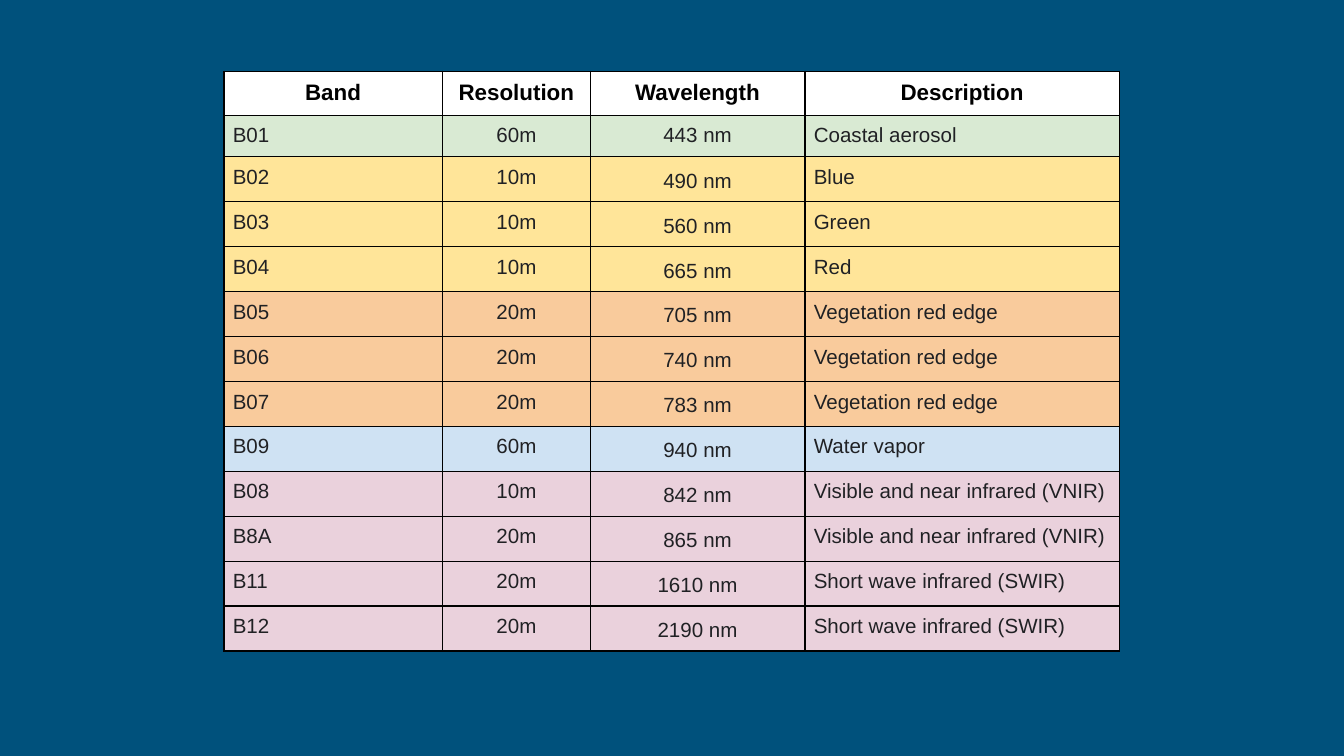
from lxml.etree import SubElement
from pptx import Presentation
from pptx.dml.color import RGBColor
from pptx.enum.text import MSO_ANCHOR, PP_ALIGN
from pptx.oxml.ns import qn
from pptx.util import Cm, Pt

NAVY = RGBColor(0x00, 0x51, 0x7C)
BLACK = RGBColor(0x00, 0x00, 0x00)
CHARCOAL = RGBColor(0x20, 0x21, 0x24)
WHITE = RGBColor(0xFF, 0xFF, 0xFF)
GREEN = RGBColor(0xD9, 0xEA, 0xD3)
YELLOW = RGBColor(0xFF, 0xE5, 0x99)
ORANGE = RGBColor(0xF9, 0xCB, 0x9C)
BLUE = RGBColor(0xCF, 0xE2, 0xF3)
PINK = RGBColor(0xEA, 0xD1, 0xDC)

ROWS = [
    (WHITE, "Band", "Resolution", "Wavelength", "Description"),
    (GREEN, "B01", "60m", "443 nm", "Coastal aerosol"),
    (YELLOW, "B02", "10m", "490 nm", "Blue"),
    (YELLOW, "B03", "10m", "560 nm", "Green"),
    (YELLOW, "B04", "10m", "665 nm", "Red"),
    (ORANGE, "B05", "20m", "705 nm", "Vegetation red edge"),
    (ORANGE, "B06", "20m", "740 nm", "Vegetation red edge"),
    (ORANGE, "B07", "20m", "783 nm", "Vegetation red edge"),
    (BLUE, "B09", "60m", "940 nm", "Water vapor"),
    (PINK, "B08", "10m", "842 nm", "Visible and near infrared (VNIR)"),
    (PINK, "B8A", "20m", "865 nm", "Visible and near infrared (VNIR)"),
    (PINK, "B11", "20m", "1610 nm", "Short wave infrared (SWIR)"),
    (PINK, "B12", "20m", "2190 nm", "Short wave infrared (SWIR)"),
]
COLUMN_WIDTHS = [4.13, 2.8, 4.05, 5.95]
ROW_HEIGHTS = [0.83, 0.78] + [0.85] * (len(ROWS) - 2)
RESOLUTION, WAVELENGTH = 1, 2


def add_borders(cell):
    properties = cell._tc.get_or_add_tcPr()
    for position, side in enumerate(("a:lnL", "a:lnR", "a:lnT", "a:lnB")):
        line = properties.makeelement(qn(side), {"w": str(Pt(1))})
        fill = SubElement(line, qn("a:solidFill"))
        SubElement(fill, qn("a:srgbClr"), val=str(BLACK))
        properties.insert(position, line)


def fill_cell(cell, text, color, row, column):
    header = row == 0
    cell.fill.solid()
    cell.fill.fore_color.rgb = color
    add_borders(cell)
    cell.margin_left = cell.margin_right = Cm(0.17)
    cell.margin_top = cell.margin_bottom = Cm(0.17)
    if column == WAVELENGTH and row > 1:
        cell.margin_left = cell.margin_right = Cm(0.53)
        cell.margin_top = Cm(0.24)
        cell.vertical_anchor = MSO_ANCHOR.MIDDLE
    cell.text_frame.text = text
    para = cell.text_frame.paragraphs[0]
    centred = header or column in (RESOLUTION, WAVELENGTH)
    para.alignment = PP_ALIGN.CENTER if centred else PP_ALIGN.LEFT
    font = para.runs[0].font
    font.name = "Arial"
    font.size = Pt(12 if header else 11)
    font.bold = header
    font.color.rgb = BLACK if header else CHARCOAL


deck = Presentation()
deck.slide_width, deck.slide_height = Cm(25.4), Cm(14.29)
page = deck.slides.add_slide(deck.slide_layouts[6])
page.background.fill.solid()
page.background.fill.fore_color.rgb = NAVY

table = page.shapes.add_table(
    len(ROWS), len(COLUMN_WIDTHS), Cm(4.23), Cm(1.35),
    Cm(sum(COLUMN_WIDTHS)), Cm(sum(ROW_HEIGHTS)),
).table
table.horz_banding = False
for column, width in zip(table.columns, COLUMN_WIDTHS):
    column.width = Cm(width)
for row, height in zip(table.rows, ROW_HEIGHTS):
    row.height = Cm(height)

for row, (color, *texts) in enumerate(ROWS):
    for column, text in enumerate(texts):
        fill_cell(table.cell(row, column), text, color, row, column)

deck.save("out.pptx")
